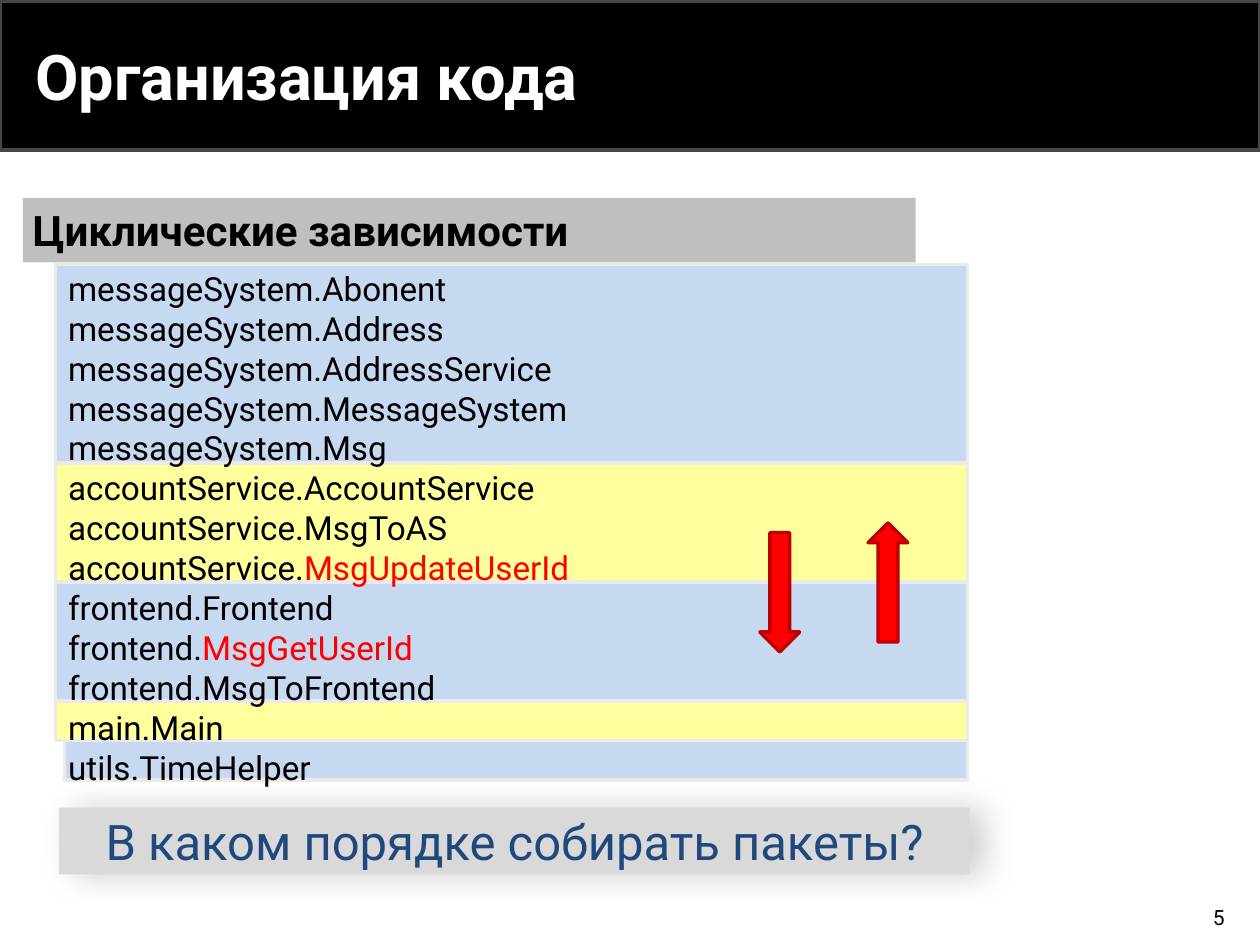
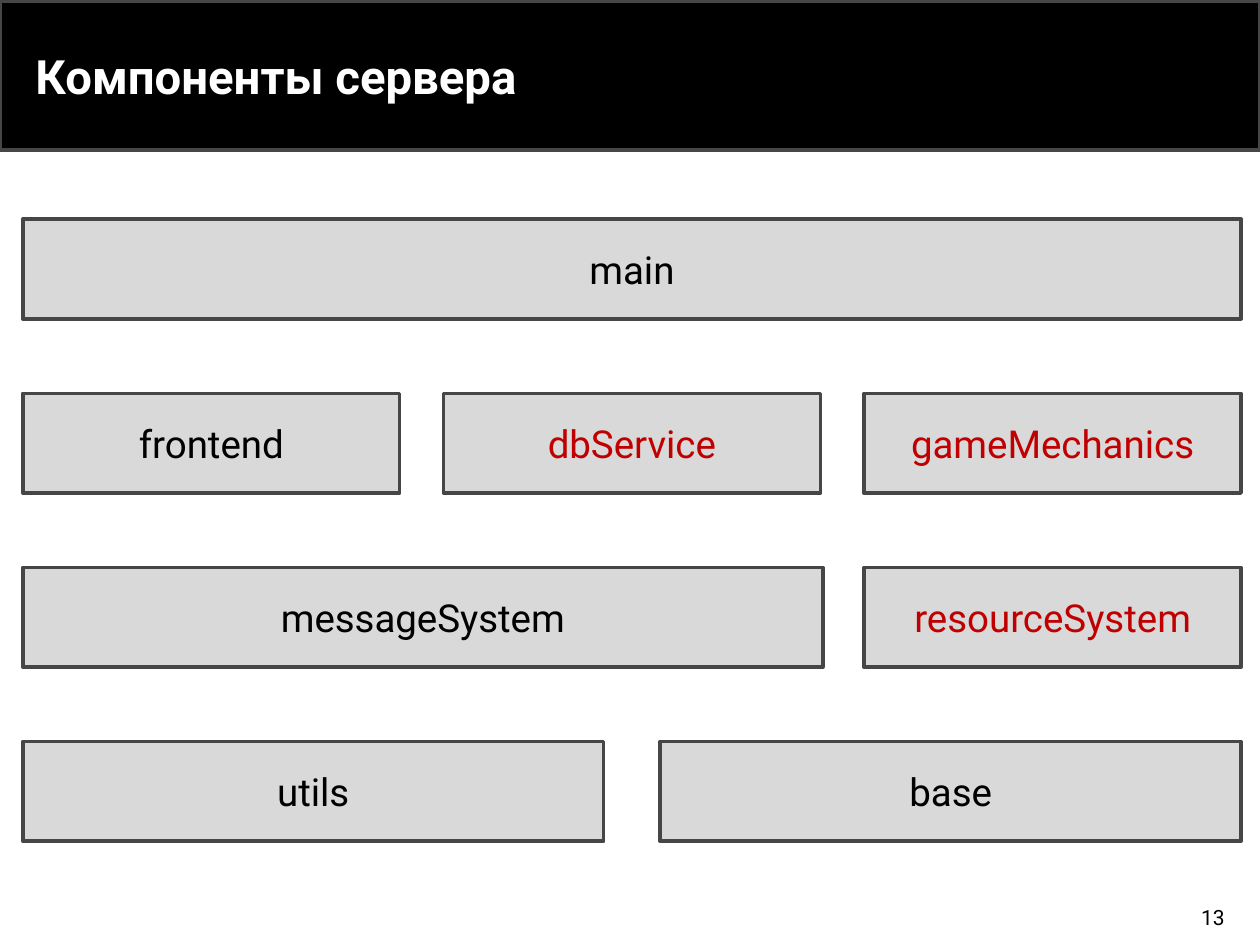
from lxml import etree
from pptx import Presentation
from pptx.dml.color import RGBColor
from pptx.enum.shapes import MSO_SHAPE
from pptx.enum.text import MSO_ANCHOR, MSO_AUTO_SIZE, PP_ALIGN
from pptx.oxml.ns import qn
from pptx.util import Cm, Pt

RECT, DOWN_ARROW = MSO_SHAPE.RECTANGLE, MSO_SHAPE.DOWN_ARROW
TOP, MIDDLE = MSO_ANCHOR.TOP, MSO_ANCHOR.MIDDLE
LEFT, CENTER, RIGHT = PP_ALIGN.LEFT, PP_ALIGN.CENTER, PP_ALIGN.RIGHT
NO_AUTOFIT = MSO_AUTO_SIZE.NONE

# Shared style
FONT = "Roboto"
BLACK = RGBColor(0x00, 0x00, 0x00)
WHITE = RGBColor(0xFF, 0xFF, 0xFF)
DARK_GRAY = RGBColor(0x46, 0x46, 0x46)
MID_GRAY = RGBColor(0xBF, 0xBF, 0xBF)
LIGHT_GRAY = RGBColor(0xD9, 0xD9, 0xD9)
PALE_GRAY = RGBColor(0xEA, 0xEA, 0xEA)
BLUE = RGBColor(0xC6, 0xD9, 0xF1)
NAVY = RGBColor(0x1F, 0x49, 0x7D)
YELLOW = RGBColor(0xFF, 0xFF, 0x9E)
RED = RGBColor(0xFF, 0x00, 0x00)
DARK_RED = RGBColor(0xC0, 0x00, 0x00)
LINE_WIDTH = Pt(2)
SLIDE_WIDTH, SLIDE_HEIGHT = 25.4, 19.05
MARGIN = 0.46

# Packages: name, fill, left edge, classes, class that closes the cycle
PACKAGES = [
    ("messageSystem", BLUE, 1.12,
     ["Abonent", "Address", "AddressService", "MessageSystem", "Msg"], None),
    ("accountService", YELLOW, 1.12,
     ["AccountService", "MsgToAS", "MsgUpdateUserId"], "MsgUpdateUserId"),
    ("frontend", BLUE, 1.12,
     ["Frontend", "MsgGetUserId", "MsgToFrontend"], "MsgGetUserId"),
    ("main", YELLOW, 1.12, ["Main"], None),
    ("utils", BLUE, 1.3, ["TimeHelper"], None),
]
PACKAGES_TOP, PACKAGES_RIGHT, CLASS_HEIGHT = 5.33, 19.51, 0.8

# Server components by row: name, width, text colour
COMPONENT_ROWS = [
    [("main", 24.56, BLACK)],
    [("frontend", 7.6, BLACK), ("dbService", 7.6, DARK_RED),
     ("gameMechanics", 7.6, DARK_RED)],
    [("messageSystem", 16.13, BLACK), ("resourceSystem", 7.6, DARK_RED)],
    [("utils", 11.71, BLACK), ("base", 11.71, BLACK)],
]
ROWS_TOP, ROW_PITCH, ROW_HEIGHT, ROW_WIDTH = 4.42, 3.51, 2.01, 24.56


def set_format(target, values):
    for attribute, value in values.items():
        setattr(target, attribute, value)


def place(shape, left, top, width, height):
    set_format(shape, {"left": Cm(left), "top": Cm(top),
                       "width": Cm(width), "height": Cm(height)})


def set_frame(shape, anchor=MIDDLE):
    set_format(shape.text_frame, {"word_wrap": True, "auto_size": NO_AUTOFIT,
                                  "vertical_anchor": anchor})


def add_run(paragraph, text, size, color, bold=False):
    run = paragraph.add_run()
    run.text = text
    set_format(run.font, {"name": FONT, "size": Pt(size), "bold": bold})
    run.font.color.rgb = color


def write_line(shape, text, size, color, align=CENTER, bold=False):
    set_frame(shape)
    paragraph = shape.text_frame.paragraphs[0]
    paragraph.alignment = align
    add_run(paragraph, text, size, color, bold)


def add_block(slide, box, fill, line=None, kind=RECT):
    block = slide.shapes.add_shape(kind, *map(Cm, box))
    block.shadow.inherit = False
    block.fill.solid()
    block.fill.fore_color.rgb = fill
    if line is None:
        block.line.fill.background()
    else:
        block.line.color.rgb = line
        block.line.width = LINE_WIDTH
    return block


def add_soft_shadow(shape):
    effects = shape._element.spPr.find(qn("a:effectLst"))
    shadow = etree.SubElement(effects, qn("a:outerShdw"), blurRad=str(Pt(19)),
                              dist=str(Pt(8)), dir="0", rotWithShape="0")
    color = etree.SubElement(shadow, qn("a:srgbClr"), val=str(BLACK))
    etree.SubElement(color, qn("a:alpha"), val="20000")


def bring_to_front(slide, shape):
    slide.shapes._spTree.append(shape._element)


def start_slide(prs, layout, title, title_size, number):
    slide = prs.slides.add_slide(prs.slide_layouts[layout])
    # Title band
    add_block(slide, (0, 0.03, SLIDE_WIDTH, 3), BLACK, DARK_GRAY)
    heading = slide.shapes.title
    place(heading, MARGIN, 0.25, 20.7, 2.54)
    write_line(heading, title, title_size, WHITE, LEFT, bold=True)
    bring_to_front(slide, heading)
    # Page number
    page = slide.shapes.add_textbox(Cm(19.15), Cm(18.11), Cm(5.79), Cm(0.76))
    write_line(page, str(number), 12, BLACK, RIGHT)
    return slide


def add_package_bands(slide):
    top = PACKAGES_TOP
    for _, fill, left, classes, _ in PACKAGES:
        height = CLASS_HEIGHT * len(classes)
        add_block(slide, (left, top, PACKAGES_RIGHT - left, height),
                  fill, PALE_GRAY)
        top += height


def fill_class_list(slide):
    class_list = slide.placeholders[1]
    place(class_list, 1.12, 5.28, 13, 10.82)
    set_frame(class_list, TOP)
    frame = class_list.text_frame
    entries = [(package, name, name == cyclic)
               for package, _, _, classes, cyclic in PACKAGES
               for name in classes]
    for index, (package, name, is_cyclic) in enumerate(entries):
        paragraph = frame.add_paragraph() if index else frame.paragraphs[0]
        set_format(paragraph, {"alignment": LEFT, "space_before": Pt(0),
                               "line_spacing": Pt(22.8)})
        properties = paragraph._p.get_or_add_pPr()
        properties.set("marL", "0")
        properties.set("indent", "0")
        etree.SubElement(properties, qn("a:buNone"))
        if is_cyclic:
            add_run(paragraph, f"{package}.", 19, BLACK)
            add_run(paragraph, name, 19, RED)
        else:
            add_run(paragraph, f"{package}.{name}", 19, BLACK)
    bring_to_front(slide, class_list)


def add_caption(slide, box, fill, text, size, color, align, bold=False):
    caption = add_block(slide, box, fill)
    set_format(caption.text_frame,
               {"margin_left": Cm(0.2), "margin_right": Cm(0.2),
                "margin_top": Cm(0.1), "margin_bottom": Cm(0.1)})
    write_line(caption, text, size, color, align, bold)
    caption.text_frame.paragraphs[0].space_after = Pt(6)
    return caption


def add_component_row(slide, top, components):
    free_width = ROW_WIDTH - sum(width for _, width, _ in components)
    gap = free_width / max(len(components) - 1, 1)
    left = MARGIN
    for name, width, color in components:
        component = add_block(slide, (left, top, width, ROW_HEIGHT),
                              LIGHT_GRAY, DARK_GRAY)
        write_line(component, name, 22, color)
        left += width + gap


def build_dependencies(prs):
    slide = start_slide(prs, 1, "Организация кода", 36, 5)
    question = add_caption(slide, (1.19, 16.28, 18.36, 1.35), LIGHT_GRAY,
                           "В каком порядке собирать пакеты?", 28, NAVY, CENTER)
    add_soft_shadow(question)
    add_package_bands(slide)
    fill_class_list(slide)
    # Arrows of the dependency cycle
    for left, top, rotation in [(15.32, 10.74, 0), (17.5, 10.54, 180)]:
        arrow = add_block(slide, (left, top, 0.8, 2.4), RED, DARK_RED, DOWN_ARROW)
        arrow.rotation = rotation
    add_caption(slide, (MARGIN, 3.99, 18, 1.3), MID_GRAY,
                "Циклические зависимости", 24, BLACK, LEFT, bold=True)


def build_components(prs):
    slide = start_slide(prs, 5, "Компоненты сервера", 27, 13)
    for index, components in enumerate(COMPONENT_ROWS):
        add_component_row(slide, ROWS_TOP + index * ROW_PITCH, components)


def main():
    prs = Presentation()
    set_format(prs, {"slide_width": Cm(SLIDE_WIDTH),
                     "slide_height": Cm(SLIDE_HEIGHT)})
    build_dependencies(prs)
    build_components(prs)
    prs.save("out.pptx")


if __name__ == "__main__":
    main()
